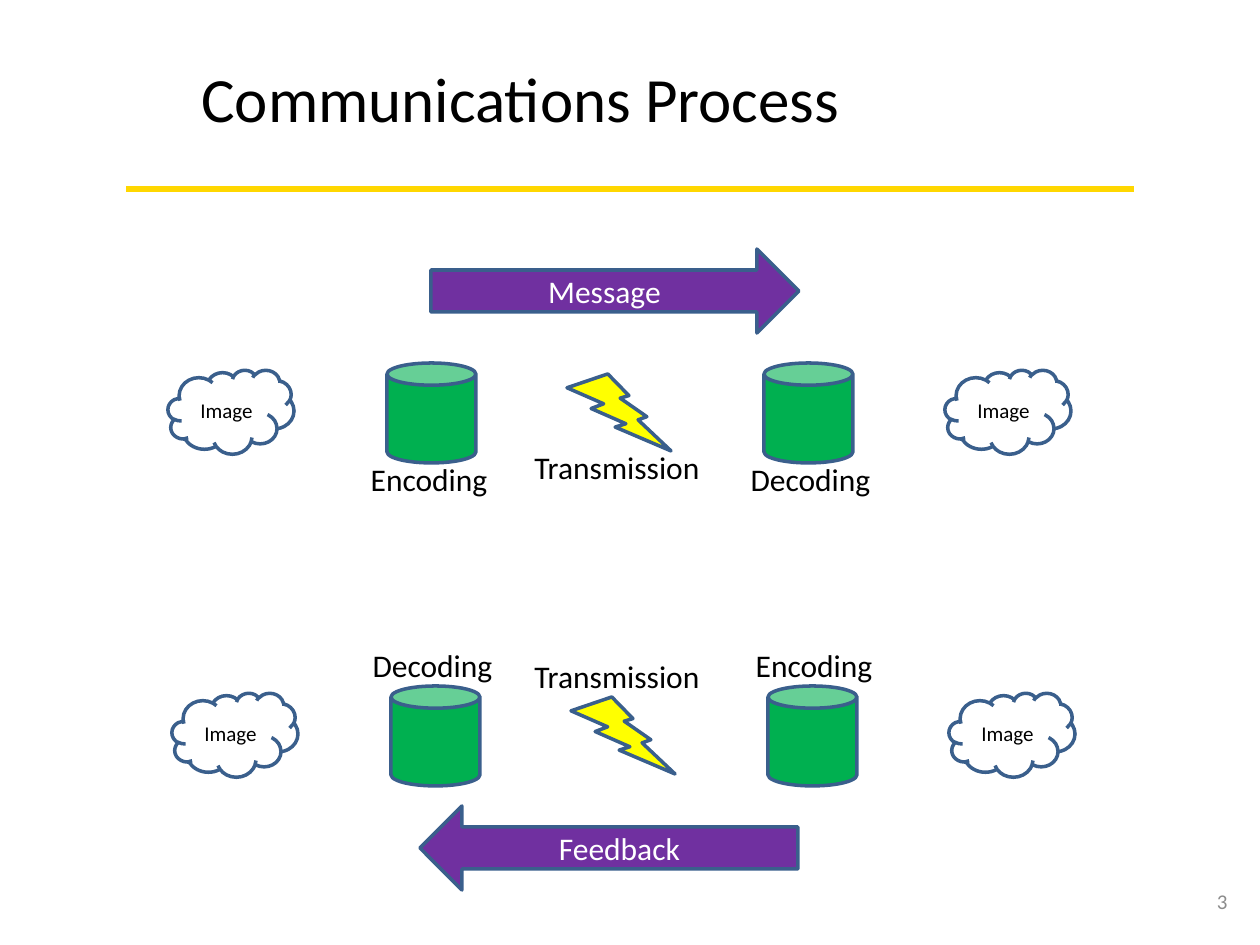
from pptx import Presentation
from pptx.dml.color import RGBColor
from pptx.enum.shapes import MSO_CONNECTOR, MSO_SHAPE
from pptx.enum.text import MSO_ANCHOR, PP_ALIGN
from pptx.oxml.ns import qn
from pptx.util import Emu, Pt
from lxml import etree

PX = 914400 / 126
BLACK = RGBColor(0x00, 0x00, 0x00)
WHITE = RGBColor(0xFF, 0xFF, 0xFF)
GRAY = RGBColor(0x8C, 0x8C, 0x8C)
GOLD = RGBColor(0xFF, 0xD7, 0x00)
BLUE = RGBColor(0x3A, 0x5F, 0x8C)
GREEN = RGBColor(0x00, 0xB0, 0x50)
YELLOW = RGBColor(0xFF, 0xFF, 0x00)
PURPLE = RGBColor(0x70, 0x30, 0xA0)
CLOUD, CAN, BOLT = MSO_SHAPE.CLOUD, MSO_SHAPE.CAN, MSO_SHAPE.LIGHTNING_BOLT
RIGHT_ARROW, LEFT_ARROW = MSO_SHAPE.RIGHT_ARROW, MSO_SHAPE.LEFT_ARROW
LEFT, CENTER, RIGHT = PP_ALIGN.LEFT, PP_ALIGN.CENTER, PP_ALIGN.RIGHT
TOP, MIDDLE = MSO_ANCHOR.TOP, MSO_ANCHOR.MIDDLE

deck = Presentation()
deck.slide_width, deck.slide_height = Emu(round(1260 * PX)), Emu(round(945 * PX))
slide = deck.slides.add_slide(deck.slide_layouts[6])


def write(box, text, size, color, align, anchor=TOP, wrap=False):
    frame = box.text_frame
    frame.word_wrap = wrap
    frame.vertical_anchor = anchor
    para = frame.paragraphs[0]
    para.alignment = align
    run = para.add_run()
    run.text = text
    run.font.name = "Calibri"
    run.font.size = Pt(size)
    run.font.color.rgb = color


def draw(kind, box, fill):
    shape = slide.shapes.add_shape(kind, *[Emu(round(n * PX)) for n in box])
    shape.shadow.inherit = False
    shape.fill.solid()
    shape.fill.fore_color.rgb = fill
    shape.line.color.rgb = BLUE
    shape.line.width = Pt(2)
    return shape


# Rule under the title
ends = [Emu(round(n * PX)) for n in (126, 189, 1134, 189)]
rule = slide.shapes.add_connector(MSO_CONNECTOR.STRAIGHT, *ends)
rule.line.color.rgb = GOLD
rule.line.width = Pt(4)
etree.SubElement(rule.element.spPr, qn("a:effectLst"))

# Two rows of clouds, cans and a bolt
for dx, dy in ((0, 0), (4, 323)):
    for kind, x, y, wide, high, fill in (
        (CLOUD, 168, 370, 126, 84, WHITE),
        (CAN, 387, 363, 89, 100, GREEN),
        (BOLT, 567, 374, 104, 77, YELLOW),
        (CAN, 764, 363, 89, 100, GREEN),
        (CLOUD, 945, 370, 126, 84, WHITE),
    ):
        shape = draw(kind, (x + dx, y + dy, wide, high), fill)
        if kind == CLOUD:
            write(shape, "Image", 12, BLACK, CENTER, MIDDLE, True)

# Title, page number and labels
for text, x, y, wide, high, size, color, align, anchor in (
    ("Communications Process", 189, 53, 670, 89, 36, BLACK, LEFT, TOP),
    ("3", 1187, 876, 53, 50, 12, GRAY, RIGHT, MIDDLE),
    ("Encoding", 357, 454, 144, 50, 18, BLACK, CENTER, TOP),
    ("Transmission", 522, 442, 192, 50, 18, BLACK, LEFT, TOP),
    ("Decoding", 737, 454, 147, 50, 18, BLACK, CENTER, TOP),
    ("Decoding", 359, 640, 147, 50, 18, BLACK, CENTER, TOP),
    ("Transmission", 522, 651, 192, 50, 18, BLACK, LEFT, TOP),
    ("Encoding", 742, 640, 144, 50, 18, BLACK, CENTER, TOP),
):
    area = [Emu(round(n * PX)) for n in (x, y, wide, high)]
    # The page number wraps so that it stays at the right edge
    write(slide.shapes.add_textbox(*area), text, size, color, align, anchor, align == RIGHT)

# Message and feedback arrows
for kind, text, box in (
    (RIGHT_ARROW, "Message", (431, 249, 368, 84)),
    (LEFT_ARROW, "Feedback", (420, 806, 378, 84)),
):
    write(draw(kind, box, PURPLE), text, 18, WHITE, CENTER, MIDDLE, True)

deck.save("out.pptx")
